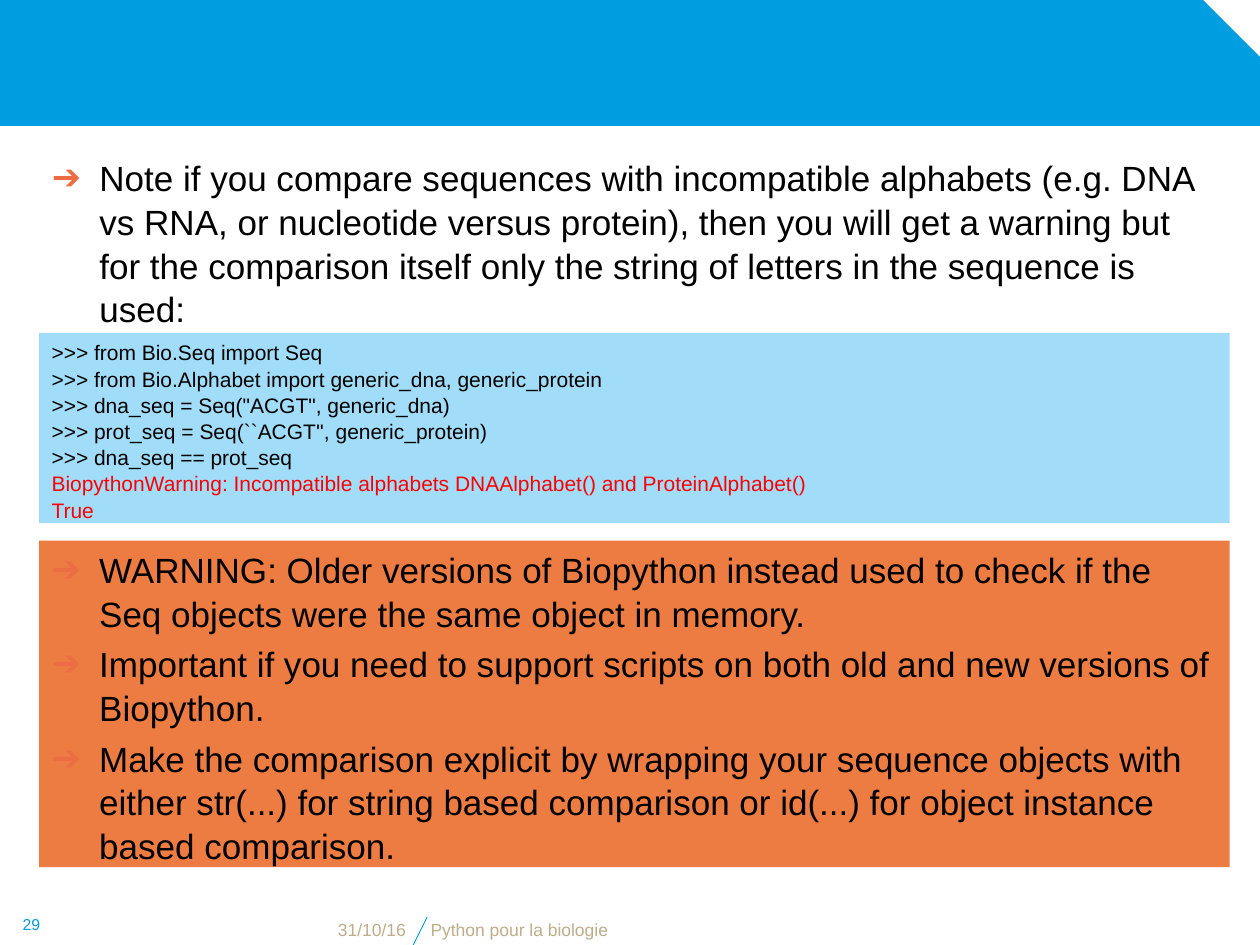
from dataclasses import dataclass

from lxml.etree import SubElement
from pptx import Presentation
from pptx.dml.color import RGBColor
from pptx.enum.shapes import MSO_CONNECTOR, MSO_SHAPE
from pptx.enum.text import MSO_ANCHOR, MSO_AUTO_SIZE, PP_ALIGN
from pptx.oxml.ns import qn
from pptx.util import Cm, Pt

BLUE = RGBColor(0x00, 0x9D, 0xE0)
PALE_BLUE = RGBColor(0xA1, 0xDD, 0xF9)
ORANGE = RGBColor(0xED, 0x7C, 0x43)
BULLET_ORANGE = RGBColor(0xEC, 0x6C, 0x43)
SAND = RGBColor(0xBE, 0xAD, 0x8A)
RED = RGBColor(0xFF, 0x00, 0x00)
BLACK = RGBColor(0x00, 0x00, 0x00)

FONT = "Arial"
LINE_SPACING = 1.04
LEFT, WIDTH = 0.79, 24.0
INDENT = Cm(0.96)


@dataclass
class Area:
    left: float
    top: float
    width: float
    height: float

    def lengths(self) -> tuple:
        return Cm(self.left), Cm(self.top), Cm(self.width), Cm(self.height)


@dataclass
class Line:
    text: str
    color: RGBColor = BLACK


@dataclass
class Label:
    text: str
    area: Area
    size: float
    color: RGBColor
    align: PP_ALIGN
    anchor: MSO_ANCHOR


INTRO = [Line(
    "Note if you compare sequences with incompatible alphabets (e.g. DNA vs RNA, "
    "or nucleotide versus protein), then you will get a warning but for the "
    "comparison itself only the string of letters in the sequence is used:")]
CODE = [
    Line(">>> from Bio.Seq import Seq"),
    Line(">>> from Bio.Alphabet import generic_dna, generic_protein"),
    Line('>>> dna_seq = Seq("ACGT", generic_dna)'),
    Line(">>> prot_seq = Seq(``ACGT'', generic_protein)"),
    Line(">>> dna_seq == prot_seq"),
    Line("BiopythonWarning: Incompatible alphabets DNAAlphabet() and "
         "ProteinAlphabet()", RED),
    Line("True", RED),
]
WARNINGS = [
    Line("WARNING: Older versions of Biopython instead used to check if the "
         "Seq objects were the same object in memory."),
    Line("Important if you need to support scripts on both old and new "
         "versions of Biopython."),
    Line("Make the comparison explicit by wrapping your sequence objects with "
         "either str(...) for string based comparison or id(...) for object "
         "instance based comparison."),
]
FOOTER = [
    Label("31/10/16", Area(2.51, 18.49, 5.92, 0.58), 10, SAND,
          PP_ALIGN.RIGHT, MSO_ANCHOR.BOTTOM),
    Label("Python pour la biologie", Area(8.43, 18.49, 14.6, 0.58), 10, SAND,
          PP_ALIGN.LEFT, MSO_ANCHOR.BOTTOM),
    Label("29", Area(0, 18.21, 1.27, 0.84), 9, BLUE,
          PP_ALIGN.CENTER, MSO_ANCHOR.MIDDLE),
]


def add_bullet(para) -> None:
    props = para._p.get_or_add_pPr()
    props.set("marL", str(INDENT))
    props.set("indent", str(-INDENT))
    color = SubElement(props, qn("a:buClr"))
    SubElement(color, qn("a:srgbClr"), val=str(BULLET_ORANGE))
    SubElement(props, qn("a:buFont"), typeface=FONT)
    SubElement(props, qn("a:buChar"), char="➔")


def add_span(para, text: str, size: float, color: RGBColor) -> None:
    span = para.add_run()
    span.text = text
    span.font.name = FONT
    span.font.size = Pt(size)
    span.font.color.rgb = color


def write_lines(frame, lines: list[Line], size: float, bullets: bool) -> None:
    frame.word_wrap = True
    frame.auto_size = MSO_AUTO_SIZE.NONE
    frame.vertical_anchor = MSO_ANCHOR.TOP
    for index, line in enumerate(lines):
        para = frame.add_paragraph() if index else frame.paragraphs[0]
        if bullets:
            add_bullet(para)
        para.alignment = PP_ALIGN.LEFT
        para.line_spacing = LINE_SPACING
        para.space_before = Pt(4 if bullets and index else 0)
        add_span(para, line.text, size, line.color)


def add_panel(page, kind: MSO_SHAPE, area: Area, fill: RGBColor):
    panel = page.shapes.add_shape(kind, *area.lengths())
    panel.shadow.inherit = False
    panel.fill.solid()
    panel.fill.fore_color.rgb = fill
    panel.line.fill.background()
    return panel


def add_label(page, label: Label) -> None:
    frame = page.shapes.add_textbox(*label.area.lengths()).text_frame
    frame.word_wrap = True
    frame.vertical_anchor = label.anchor
    para = frame.paragraphs[0]
    para.alignment = label.align
    add_span(para, label.text, label.size, label.color)


def main() -> None:
    deck = Presentation()
    deck.slide_width, deck.slide_height = Cm(25.4), Cm(19.05)
    page = deck.slides.add_slide(deck.slide_layouts[1])
    title, body = page.placeholders
    title.element.getparent().remove(title.element)

    # Banner with a cut corner
    banner = add_panel(page, MSO_SHAPE.SNIP_1_RECTANGLE,
                       Area(0, 0, 25.42, 2.54), BLUE)
    banner.adjustments[0] = 0.46

    # Introduction
    body.left, body.top, body.width, body.height = Area(
        LEFT, 3.0, WIDTH, 3.38).lengths()
    write_lines(body.text_frame, INTRO, 20, bullets=True)

    # Code and warning panels
    code = add_panel(page, MSO_SHAPE.RECTANGLE,
                     Area(LEFT, 6.71, WIDTH, 3.84), PALE_BLUE)
    write_lines(code.text_frame, CODE, 12, bullets=False)
    warning = add_panel(page, MSO_SHAPE.RECTANGLE,
                        Area(LEFT, 10.9, WIDTH, 6.58), ORANGE)
    write_lines(warning.text_frame, WARNINGS, 20, bullets=True)

    # Footer with its slanted divider
    divider = page.shapes.add_connector(
        MSO_CONNECTOR.STRAIGHT, Cm(8.33), Cm(19.05), Cm(8.61), Cm(18.49))
    divider.line.color.rgb = BLUE
    divider.line.width = Pt(0.5)
    SubElement(divider._element.spPr, qn("a:effectLst"))
    for label in FOOTER:
        add_label(page, label)

    deck.save("out.pptx")


if __name__ == "__main__":
    main()
